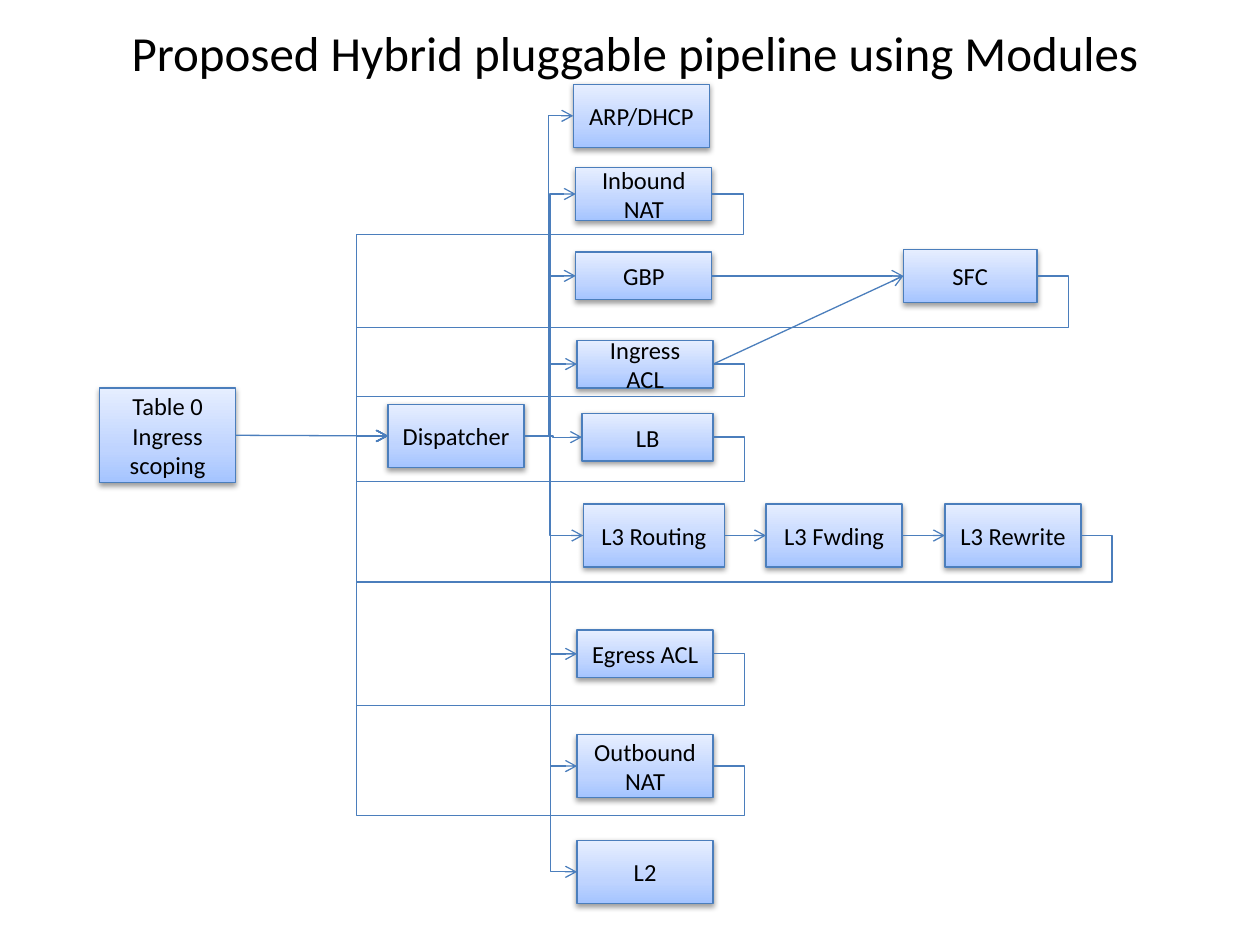
"""Build a slide showing a hybrid pluggable network pipeline."""
from lxml import etree
from pptx import Presentation
from pptx.dml.color import RGBColor
from pptx.enum.shapes import MSO_CONNECTOR as CONN, MSO_SHAPE as SHAPE
from pptx.enum.text import MSO_ANCHOR as ANCHOR, PP_ALIGN as ALIGN
from pptx.oxml import parse_xml
from pptx.oxml.ns import nsdecls, qn
from pptx.util import Inches, Pt

BLUE = "4B7EBC"
STOPS = [(0, "A4C4FF"), (35, "BFD4FF"), (100, "E6EEFF")]
LEFT, RIGHT = 1, 3
LOOP_GAP = 0.25

BOXES = {
    "Table 0\nIngress scoping": (0.79, 3.08, 1.08, 0.75),
    "Dispatcher": (3.08, 3.21, 1.08, 0.5),
    "ARP/DHCP": (4.55, 0.67, 1.08, 0.5),
    "Inbound NAT": (4.57, 1.33, 1.08, 0.42),
    "GBP": (4.57, 2, 1.08, 0.38),
    "SFC": (7.17, 1.98, 1.06, 0.42),
    "Ingress ACL": (4.58, 2.7, 1.08, 0.38),
    "LB": (4.62, 3.28, 1.04, 0.38),
    "L3 Routing": (4.63, 4, 1.12, 0.5),
    "L3 Fwding": (6.08, 4, 1.08, 0.5),
    "L3 Rewrite": (7.5, 4, 1.08, 0.5),
    "Egress ACL": (4.58, 5, 1.08, 0.38),
    "Outbound NAT": (4.58, 5.83, 1.08, 0.5),
    "L2": (4.58, 6.67, 1.08, 0.5),
}
STRAIGHT = [
    ("Table 0\nIngress scoping", "Dispatcher"),
    ("GBP", "SFC"),
    ("Ingress ACL", "SFC"),
    ("L3 Routing", "L3 Fwding"),
    ("L3 Fwding", "L3 Rewrite"),
]
BRANCHES = {
    "ARP/DHCP": 0.5, "Inbound NAT": 0.5, "GBP": 0.5, "Ingress ACL": 0.5, "LB": 0.5,
    "L3 Routing": 0.44, "Egress ACL": 0.5, "Outbound NAT": 0.5, "L2": 0.5,
}
RETURN_LEVELS = {
    "Inbound NAT": 1.86, "SFC": 2.6, "Ingress ACL": 3.15, "LB": 3.83,
    "L3 Rewrite": 4.62, "Egress ACL": 5.6, "Outbound NAT": 6.47,
}


def color(value):
    """Return the colour for a hex string."""
    return RGBColor.from_string(value)


def set_all(obj, values):
    """Set each attribute in a dict of format values."""
    for name, value in values.items():
        setattr(obj, name, value)


def write(sp, text, size):
    """Fill a shape with centred text."""
    tf = sp.text_frame
    tf.text = text
    set_all(tf, {"word_wrap": True, "vertical_anchor": ANCHOR.MIDDLE})
    for p in tf.paragraphs:
        p.alignment = ALIGN.CENTER
        for r in p.runs:
            set_all(r.font, {"name": "Calibri", "size": Pt(size)})
            r.font.color.rgb = color("000000")


def add_title(s, text):
    """Add the slide title."""
    write(s.shapes.add_textbox(*map(Inches, (0.58, 0.08, 8.92, 0.67))), text, 28)


def style_line(line):
    """Give a line the common colour and width."""
    line.color.rgb = color(BLUE)
    line.width = Pt(0.75)


def add_box(s, text, place):
    """Add a gradient box with a soft shadow."""
    sp = s.shapes.add_shape(SHAPE.RECTANGLE, *map(Inches, place))
    style_line(sp.line)
    stops = "".join(f'<a:gs pos="{pos * 1000}"><a:srgbClr val="{c}"/></a:gs>' for pos, c in STOPS)
    props = sp._element.spPr
    props.find(qn("a:prstGeom")).addnext(parse_xml(
        f'<a:gradFill {nsdecls("a")} rotWithShape="1"><a:gsLst>{stops}</a:gsLst>'
        '<a:lin ang="16200000" scaled="0"/></a:gradFill>'))
    props.append(parse_xml(
        f'<a:effectLst {nsdecls("a")}><a:outerShdw blurRad="40000" dist="20000" dir="5400000" '
        'rotWithShape="0"><a:srgbClr val="000000"><a:alpha val="38000"/></a:srgbClr>'
        '</a:outerShdw></a:effectLst>'))
    write(sp, text, 14)
    return sp


def side(sp, site):
    """Return the middle of the left or right side of a box."""
    return sp.left + (sp.width if site == RIGHT else 0), sp.top + sp.height // 2


def add_arrow(s, start, end, adjust=()):
    """Join two boxes, with one bend value for an elbow and three for a loop."""
    kind = CONN.ELBOW if adjust else CONN.STRAIGHT
    c = s.shapes.add_connector(kind, *side(start, RIGHT), *side(end, LEFT))
    c.begin_connect(start, RIGHT)
    c.end_connect(end, LEFT)
    style_line(c.line)
    props = c._element.spPr
    etree.SubElement(props.find(qn("a:ln")), qn("a:tailEnd"), type="arrow")
    etree.SubElement(props, qn("a:effectLst"))
    if adjust:
        geom = props.find(qn("a:prstGeom"))
        geom.set("prst", f"bentConnector{len(adjust) + 2}")
        guides = geom.find(qn("a:avLst"))
        for i, value in enumerate(adjust, 1):
            etree.SubElement(guides, qn("a:gd"), name=f"adj{i}",
                             fmla=f"val {round(value * 100000)}")


def add_return(s, start, end, level):
    """Loop from a box back to an earlier one along a horizontal level."""
    (x1, y1), (x2, y2) = side(start, RIGHT), side(end, LEFT)
    gap = Inches(LOOP_GAP) / (x1 - x2)
    add_arrow(s, start, end, (-gap, (Inches(level) - y1) / (y2 - y1), 1 + gap))


def main():
    """Build and save the slide."""
    prs = Presentation()
    set_all(prs, {"slide_width": Inches(10), "slide_height": Inches(7.5)})
    s = prs.slides.add_slide(prs.slide_layouts[6])
    add_title(s, "Proposed Hybrid pluggable pipeline using Modules")
    boxes = {text: add_box(s, text, place) for text, place in BOXES.items()}
    dispatcher = boxes["Dispatcher"]
    for start, end in STRAIGHT:
        add_arrow(s, boxes[start], boxes[end])
    for name, bend in BRANCHES.items():
        add_arrow(s, dispatcher, boxes[name], (bend,))
    for name, level in RETURN_LEVELS.items():
        add_return(s, boxes[name], dispatcher, level)
    prs.save("out.pptx")


main()
